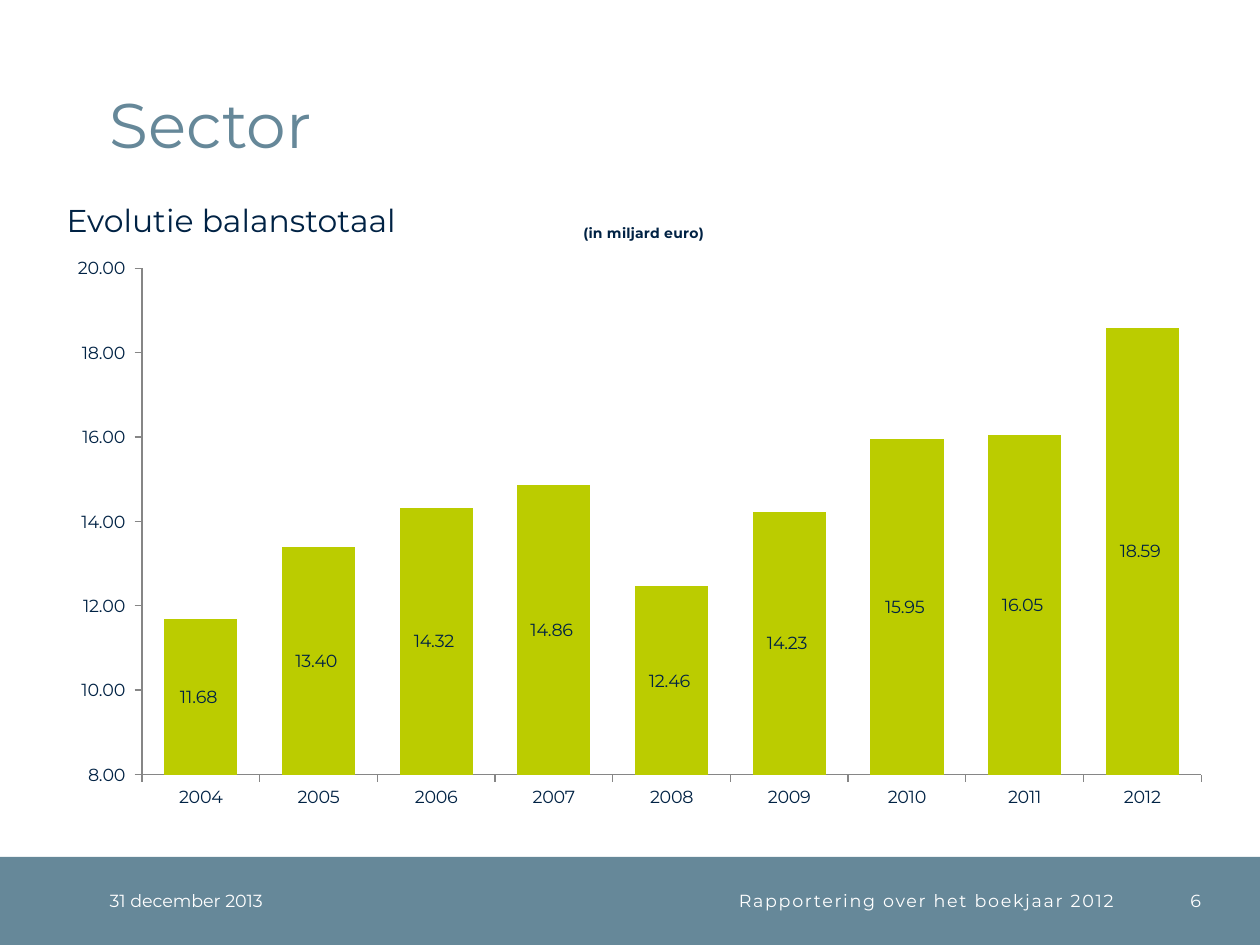
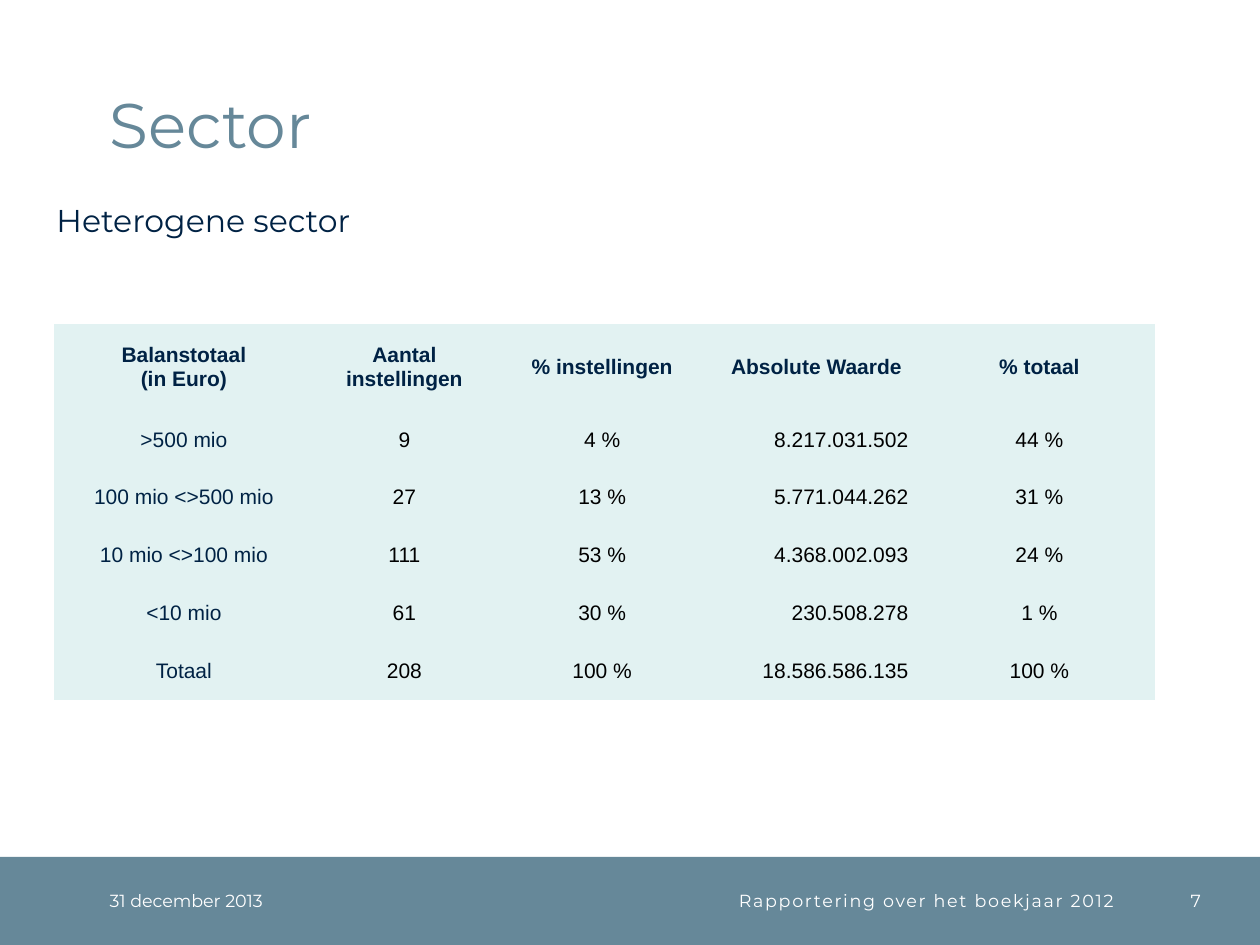
from lxml import etree
from pptx import Presentation
from pptx.chart.data import CategoryChartData
from pptx.dml.color import RGBColor
from pptx.enum.chart import XL_CHART_TYPE, XL_LABEL_POSITION, XL_TICK_MARK
from pptx.enum.shapes import MSO_SHAPE
from pptx.enum.text import MSO_ANCHOR, PP_ALIGN
from pptx.oxml.ns import qn
from pptx.util import Pt

PX = 9144
BLANK_LAYOUT = 6
LEFT, CENTER, RIGHT = PP_ALIGN.LEFT, PP_ALIGN.CENTER, PP_ALIGN.RIGHT
TOP, MIDDLE, BOTTOM = MSO_ANCHOR.TOP, MSO_ANCHOR.MIDDLE, MSO_ANCHOR.BOTTOM
RECTANGLE = MSO_SHAPE.RECTANGLE
STACKED_COLUMNS = XL_CHART_TYPE.COLUMN_STACKED
LABEL_CENTER = XL_LABEL_POSITION.CENTER
TICK_OUTSIDE = XL_TICK_MARK.OUTSIDE
NO_TABLE_STYLE = "{2D5ABB26-0587-4C30-8999-92F81FD0307C}"
NUMBER_FORMAT = "#,##0.00_ "

BALANCE_BY_YEAR = {
    "2004": 11.68, "2005": 13.40, "2006": 14.32, "2007": 14.86, "2008": 12.46,
    "2009": 14.23, "2010": 15.95, "2011": 16.05, "2012": 18.59,
}
SIZE_CLASSES = [
    ["Balanstotaal\n(in Euro)", "Aantal instellingen", "% instellingen", "Absolute Waarde", "% totaal"],
    [">500 mio", "9", "4 %", "8.217.031.502", "44 %"],
    ["100 mio <>500 mio", "27", "13 %", "5.771.044.262", "31 %"],
    ["10 mio <>100 mio", "111", "53 %", "4.368.002.093", "24 %"],
    ["<10 mio", "61", "30 %", "230.508.278", "1 %"],
    ["Totaal", "208", "100 %", "18.586.586.135", "100 %"],
]


def rgb(value):
    """Turn a hex string into a colour."""
    return RGBColor.from_string(value)


def style_font(font, face, size, color, bold=False):
    """Set face, size, colour and weight of a font."""
    font.name, font.size, font.bold = face, Pt(size), bold
    font.color.rgb = rgb(color)


def write(frame, text, face="Montserrat", size=10, color="FFFFFF", bold=False,
          align=LEFT, line_spacing=None, tracking=0):
    """Fill a text frame, one paragraph per line, in one format."""
    frame.text = text
    for paragraph in frame.paragraphs:
        paragraph.alignment = align
        if line_spacing:
            paragraph.line_spacing = Pt(line_spacing)
        for run in paragraph.runs:
            style_font(run.font, face, size, color, bold)
            if tracking:
                run.font._element.set("spc", str(tracking))


def place(parent, index, **fractions):
    """Give a chart part a fixed layout in fractions of the chart."""
    for previous in parent.findall(qn("c:layout")):
        parent.remove(previous)
    layout = etree.Element(qn("c:layout"))
    manual = etree.SubElement(layout, qn("c:manualLayout"))
    settings = {"xMode": "edge", "yMode": "edge", **fractions}
    if "w" in fractions:
        settings = {"layoutTarget": "inner", **settings}
    for tag, value in settings.items():
        etree.SubElement(manual, qn(f"c:{tag}")).set("val", str(value))
    parent.insert(index, layout)


class Deck:
    """Holds the house style and the slide being built."""

    slate, navy, lime, mist, axis_gray = "668899", "002244", "BBCC00", "E2F2F2", "868686"

    def __init__(self):
        """Start a presentation of 1000 by 750 px."""
        self.presentation = Presentation()
        self.presentation.slide_width = 1000 * PX
        self.presentation.slide_height = 750 * PX
        self.slide = None

    def new_slide(self, title, number):
        """Add a slide with its title, band and footer."""
        layout = self.presentation.slide_layouts[BLANK_LAYOUT]
        self.slide = self.presentation.slides.add_slide(layout)
        self.band(0, 680, 1000, 70)
        self.text(title, 87, 20, 863, 108, anchor=BOTTOM, size=36, color=self.slate, line_spacing=32)
        self.text("31 december 2013", 87, 680, 177, 70)
        self.text("Rapportering over het boekjaar 2012", 264, 680, 620, 70, align=RIGHT, tracking=100)
        self.text(str(number), 904, 680, 49, 70, align=RIGHT)

    def band(self, left, top, width, height):
        """Draw a plain filled bar."""
        bar = self.slide.shapes.add_shape(RECTANGLE, left * PX, top * PX, width * PX, height * PX)
        bar.shadow.inherit = False
        bar.fill.solid()
        bar.fill.fore_color.rgb = rgb(self.slate)
        bar.line.fill.background()

    def text(self, text, left, top, width, height, anchor=MIDDLE, inset=(0, 0), **style):
        """Add a wrapping text box."""
        box = self.slide.shapes.add_textbox(left * PX, top * PX, width * PX, height * PX)
        frame = box.text_frame
        frame.word_wrap = True
        frame.vertical_anchor = anchor
        frame.margin_left = frame.margin_right = inset[0] * PX
        frame.margin_top = frame.margin_bottom = inset[1] * PX
        write(frame, text, **style)

    def subtitle(self, text, left):
        """Add the heading above the slide content."""
        self.text(text, left, 155, 323, 40, anchor=TOP, inset=(10, 5), size=18, color=self.navy)

    def column_chart(self, values, unit, left, top, width, height):
        """Add a labelled column chart of one series."""
        data = CategoryChartData(number_format=NUMBER_FORMAT)
        data.categories = values.keys()
        data.add_series("Balanstotaal", values.values())
        chart = self.slide.shapes.add_chart(
            STACKED_COLUMNS, left * PX, top * PX, width * PX, height * PX, data).chart
        style_font(chart.font, "Montserrat", 10, self.navy)
        chart.has_legend = False
        chart.has_title = True
        write(chart.chart_title.text_frame, unit, size=8, color=self.navy, bold=True, align=CENTER)
        place(chart.chart_title._element, 1, x=0.45, y=0.04)
        place(chart._chartSpace.chart.plotArea, 0, x=0.075, y=0.117, w=0.905, h=0.81)

        for axis in (chart.category_axis, chart.value_axis):
            axis.has_major_gridlines = False
            axis.major_tick_mark = TICK_OUTSIDE
            axis.format.line.color.rgb = rgb(self.axis_gray)
            axis.format.line.width = Pt(0.75)
        scale = chart.value_axis
        scale.minimum_scale, scale.maximum_scale, scale.major_unit = 8, 20, 2
        scale.tick_labels.number_format = NUMBER_FORMAT
        scale.tick_labels.number_format_is_linked = False

        plot = chart.plots[0]
        plot.gap_width, plot.overlap = 61, 100
        plot.vary_by_categories = False
        columns = plot.series[0]
        columns.format.fill.solid()
        columns.format.fill.fore_color.rgb = rgb(self.lime)
        plot.has_data_labels = True
        labels = plot.data_labels
        labels.show_value = True
        labels.position = LABEL_CENTER
        labels.number_format = NUMBER_FORMAT
        labels.number_format_is_linked = False
        style_font(labels.font, "Montserrat", 10, self.navy)

    def table(self, rows, left, top, widths, heights, amount_column):
        """Add a tinted table with right-aligned amounts."""
        grid = self.slide.shapes.add_table(
            len(rows), len(widths), left * PX, top * PX, sum(widths) * PX, sum(heights) * PX).table
        properties = grid._tbl.tblPr
        properties.find(qn("a:tableStyleId")).text = NO_TABLE_STYLE
        grid.first_row = grid.horz_banding = False
        for column, width in zip(grid.columns, widths):
            column.width = width * PX
        for row, height in zip(grid.rows, heights):
            row.height = height * PX
        for r, row in enumerate(rows):
            for c, text in enumerate(row):
                header = r == 0
                amount = c == amount_column and not header
                cell = grid.cell(r, c)
                cell.fill.solid()
                cell.fill.fore_color.rgb = rgb(self.mist)
                cell.vertical_anchor = MIDDLE
                cell.margin_left = cell.margin_top = cell.margin_bottom = 0
                cell.margin_right = 12 * PX if amount else 0
                write(cell.text_frame, text, face="Arial", size=12, bold=header,
                      color=self.navy if header or c == 0 else "000000",
                      align=RIGHT if amount else CENTER)


def main():
    """Build both sector slides and save them."""
    deck = Deck()
    deck.new_slide("Sector", 6)
    deck.column_chart(BALANCE_BY_YEAR, "(in miljard euro)", 43, 155, 929, 496)
    deck.subtitle("Evolutie balanstotaal", 43)

    deck.new_slide("Sector", 7)
    deck.subtitle("Heterogene sector", 35)
    deck.table(SIZE_CLASSES, 43, 257, [206, 144, 170, 170, 184], [69, 46, 46, 46, 46, 46],
               amount_column=3)
    deck.presentation.save("out.pptx")


if __name__ == "__main__":
    main()
